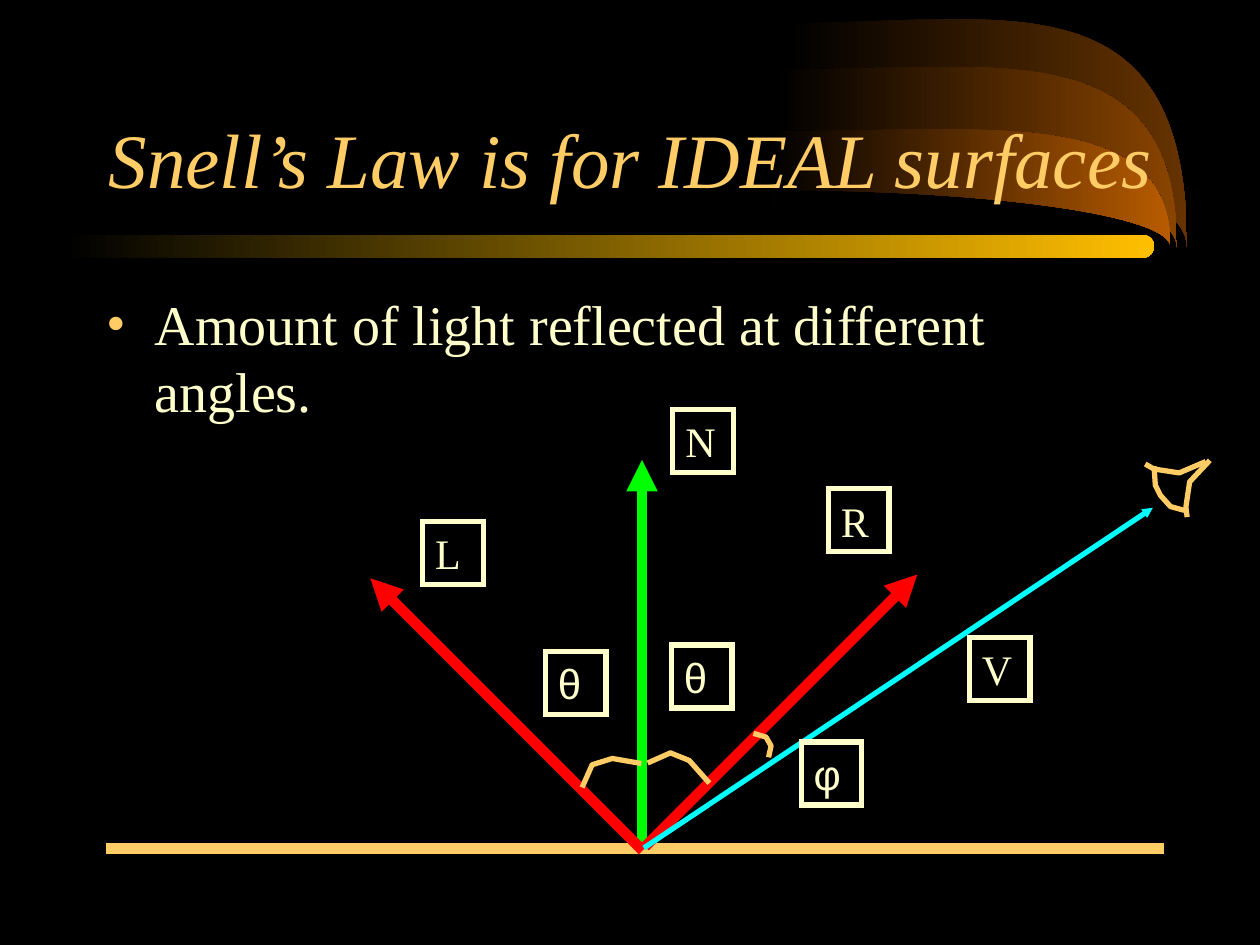
import math
from dataclasses import dataclass
from typing import Sequence

from lxml import etree
from pptx import Presentation, util as u
from pptx.dml.color import RGBColor
from pptx.enum import shapes, text
from pptx.oxml import ns

COLS, ROWS = 100, 75
Point = tuple[float, float]


@dataclass(frozen=True)
class Theme:
    back: str = "000000"
    accent: str = "FFCC66"
    ink: str = "FFFFCC"
    bar: str = "FFBF00"
    normal: str = "00FF00"
    ray: str = "FF0000"
    view: str = "00FFFF"
    serif: str = "Times New Roman"
    sans: str = "Arial"
    title: int = 44
    body: int = 32
    label: int = 24
    thick: int = 6
    thin: int = 3


@dataclass(frozen=True)
class Swoosh:
    left: float
    top: float
    bottom: float
    color: str


@dataclass(frozen=True)
class Ray:
    start: Point
    end: Point
    color: str
    width: int
    head: str = "med"


@dataclass(frozen=True)
class Label:
    text: str
    col: float
    row: float
    font: str


@dataclass(frozen=True)
class Stroke:
    points: Sequence[Point]
    center: Point = (0, 0)
    turn: float = 0


T = Theme()
SWOOSHES = [
    Swoosh(62.4, 1.8, 10.9, "663300"),
    Swoosh(61.6, 5.5, 12.7, "894400"),
    Swoosh(61.1, 10.4, 15.1, "B75B00"),
]
RAYS = [
    Ray((8.4, 67.35), (92.4, 67.35), T.accent, T.thick, head=""),
    Ray((50.95, 67.3), (50.95, 36.5), T.normal, T.thick),
    Ray((51, 67.5), (29.4, 45.9), T.ray, T.thick),
    Ray((51.2, 67.2), (72.8, 45.6), T.ray, T.thick),
]
VIEW_RAY = Ray((51.1, 67.3), (91.5, 40.3), T.view, T.thin, head="sm")
VECTOR_LABELS = [
    Label("N", 53.4, 32.5, T.serif),
    Label("L", 33.55, 41.4, T.serif),
    Label("R", 65.75, 38.8, T.serif),
    Label("V", 76.95, 50.6, T.serif),
]
ANGLE_LABELS = [
    Label("θ", 43.3, 51.7, T.sans),
    Label("θ", 53.3, 51.2, T.sans),
    Label("φ", 63.6, 58.9, T.sans),
]
EYE = [
    Stroke([(95.9, 36.6), (94.3, 38.3), (94, 40.3), (94.1, 41.1)], (95.05, 38.8), 144.6),
    Stroke([(95.6, 36.6), (93.5, 37.5), (91.5, 37.2), (90.8, 36.8)], (93.25, 36.7), 144.6),
    Stroke([(94, 40.5), (92.9, 40.2), (92.1, 39.3), (91.7, 38.5), (91.6, 37)],
           (92.45, 39), 144.6),
]
ANGLE_ARCS = [
    Stroke([(46.2, 62.5), (47, 60.7), (48.6, 60.2), (50.9, 60.6)]),
    Stroke([(51.4, 60.6), (53.2, 59.8), (54.7, 60.4), (56.3, 62.2)], (53.9, 61.25), 40.7),
    Stroke([(59.8, 58.2), (60.8, 58.5), (61.2, 59.2), (61, 60.1)]),
]

prs = Presentation()
prs.slide_width, prs.slide_height = u.Inches(10), u.Inches(7.5)


def x(col: float) -> int:
    return round(prs.slide_width * col / COLS)


def y(row: float) -> int:
    return round(prs.slide_height * row / ROWS)


def rgb(color: str) -> RGBColor:
    return RGBColor.from_string(color)


def add_xml(parent, tag: str, **attributes: str):
    return etree.SubElement(parent, ns.qn(tag), **attributes)


def set_font(p, name: str, size: int, color: str, italic: bool = False) -> None:
    p.font.name, p.font.size, p.font.italic = name, u.Pt(size), italic
    p.font.color.rgb = rgb(color)


def set_line(line, color: str, width: int) -> None:
    line.color.rgb = rgb(color)
    line.width = u.Pt(width)


def set_fade(sp, color: str) -> None:
    sp.shadow.inherit = False
    sp.line.fill.background()
    sp.fill.gradient()
    sp.fill.gradient_angle = 0
    for stop, stop_color in zip(sp.fill.gradient_stops, (T.back, color)):
        stop.color.rgb = rgb(stop_color)


def add_path(s, points: Sequence[Point], close: bool = False):
    scaled = [(x(col), y(row)) for col, row in points]
    builder = s.shapes.build_freeform(*scaled[0])
    builder.add_line_segments(scaled[1:], close=close)
    sp = builder.convert_to_shape()
    sp.shadow.inherit = False
    return sp


def add_swoosh(s, swoosh: Swoosh) -> None:
    width, tip_row, inset = 31.8, 19.6, 0.5
    left, right, start = swoosh.left, swoosh.left + width, swoosh.left + inset
    top, bottom = swoosh.top, swoosh.bottom
    bend, middle = 0.45 * (tip_row - bottom), start + 0.55 * (width - inset)
    base = 2 * tip_row - bottom
    sp = add_path(s, [(left, bottom), (right, bottom), (right, base), (left, base)], close=True)
    outline = sp._element.spPr.find(".//" + ns.qn("a:path"))
    for child in list(outline):
        outline.remove(child)
    segments = [
        ("a:moveTo", [(start, bottom)]),
        ("a:cubicBezTo", [(middle, bottom), (right, bottom + bend), (right, tip_row)]),
        ("a:cubicBezTo", [(right, top - bend), (middle, top), (start, top)]),
        ("a:lnTo", [(left, top)]),
        ("a:lnTo", [(start, tip_row)]),
    ]
    for tag, points in segments:
        segment = add_xml(outline, tag)
        for col, row in points:
            add_xml(segment, "a:pt", x=str(x(col) - sp.left), y=str(y(row) - sp.top))
    add_xml(outline, "a:close")
    set_fade(sp, swoosh.color)


def turned(point: Point, center: Point, degrees: float) -> Point:
    cos, sin = math.cos(math.radians(degrees)), math.sin(math.radians(degrees))
    dx, dy = point[0] - center[0], point[1] - center[1]
    return center[0] + dx * cos - dy * sin, center[1] + dx * sin + dy * cos


def add_stroke(s, stroke: Stroke) -> None:
    sp = add_path(s, [turned(point, stroke.center, -stroke.turn) for point in stroke.points])
    sp.rotation = stroke.turn
    sp.fill.background()
    set_line(sp.line, T.accent, T.thin)


def add_ray(s, ray: Ray) -> None:
    (x1, y1), (x2, y2) = ray.start, ray.end
    sp = s.shapes.add_connector(shapes.MSO_CONNECTOR.STRAIGHT, x(x1), y(y1), x(x2), y(y2))
    set_line(sp.line, ray.color, ray.width)
    if ray.head:
        add_xml(sp.line._get_or_add_ln(), "a:tailEnd", type="triangle", w=ray.head, len=ray.head)
    add_xml(sp._element.spPr, "a:effectLst")


def add_label(s, label: Label) -> None:
    sp = s.shapes.add_shape(shapes.MSO_SHAPE.RECTANGLE,
                            x(label.col), y(label.row), x(4.8), y(5))
    sp.shadow.inherit = False
    sp.fill.background()
    set_line(sp.line, T.ink, T.thin)
    add_xml(sp.line._get_or_add_ln(), "a:miter", lim="800000")
    tf = sp.text_frame
    tf.vertical_anchor = text.MSO_ANCHOR.TOP
    p = tf.paragraphs[0]
    p.text, p.alignment = label.text, text.PP_ALIGN.LEFT
    set_font(p, label.font, T.label, T.ink)


def add_title(s, words: str) -> None:
    sp = s.shapes.title
    sp.left, sp.top, sp.width, sp.height = x(3.1), y(4.2), x(89.4), y(12.5)
    tf = sp.text_frame
    tf.auto_size = text.MSO_AUTO_SIZE.NONE
    tf.vertical_anchor = text.MSO_ANCHOR.BOTTOM
    p = tf.paragraphs[0]
    p.text, p.alignment = words, text.PP_ALIGN.RIGHT
    set_font(p, T.serif, T.title, T.accent, italic=True)
    s.shapes._spTree.append(sp._element)


def add_bullet(s, words: str) -> None:
    tf = s.shapes.add_textbox(x(7.5), y(22.5), x(85), y(45)).text_frame
    tf.word_wrap = True
    p = tf.paragraphs[0]
    p.text, p.space_before = words, u.Pt(8)
    pPr = p._p.get_or_add_pPr()
    indent = u.Inches(0.38)
    pPr.set("marL", str(indent))
    pPr.set("indent", str(-indent))
    add_xml(add_xml(pPr, "a:buClr"), "a:srgbClr", val=T.accent)
    add_xml(pPr, "a:buFont", typeface=T.serif)
    add_xml(pPr, "a:buChar", char="•")
    set_font(p, T.serif, T.body, T.ink)


def main() -> None:
    s = prs.slides.add_slide(prs.slide_layouts[5])
    s.background.fill.solid()
    s.background.fill.fore_color.rgb = rgb(T.back)
    for swoosh in SWOOSHES:
        add_swoosh(s, swoosh)
    bar = s.shapes.add_shape(shapes.MSO_SHAPE.ROUNDED_RECTANGLE, x(5), y(18.65), x(86.6), y(1.8))
    bar.adjustments[0] = 0.5
    set_fade(bar, T.bar)
    add_title(s, "Snell’s Law is for IDEAL surfaces")
    add_bullet(s, "Amount of light reflected at different angles.")
    for ray in RAYS:
        add_ray(s, ray)
    for label in VECTOR_LABELS:
        add_label(s, label)
    add_ray(s, VIEW_RAY)
    for stroke in EYE + ANGLE_ARCS:
        add_stroke(s, stroke)
    for label in ANGLE_LABELS:
        add_label(s, label)
    prs.save("out.pptx")


if __name__ == "__main__":
    main()
